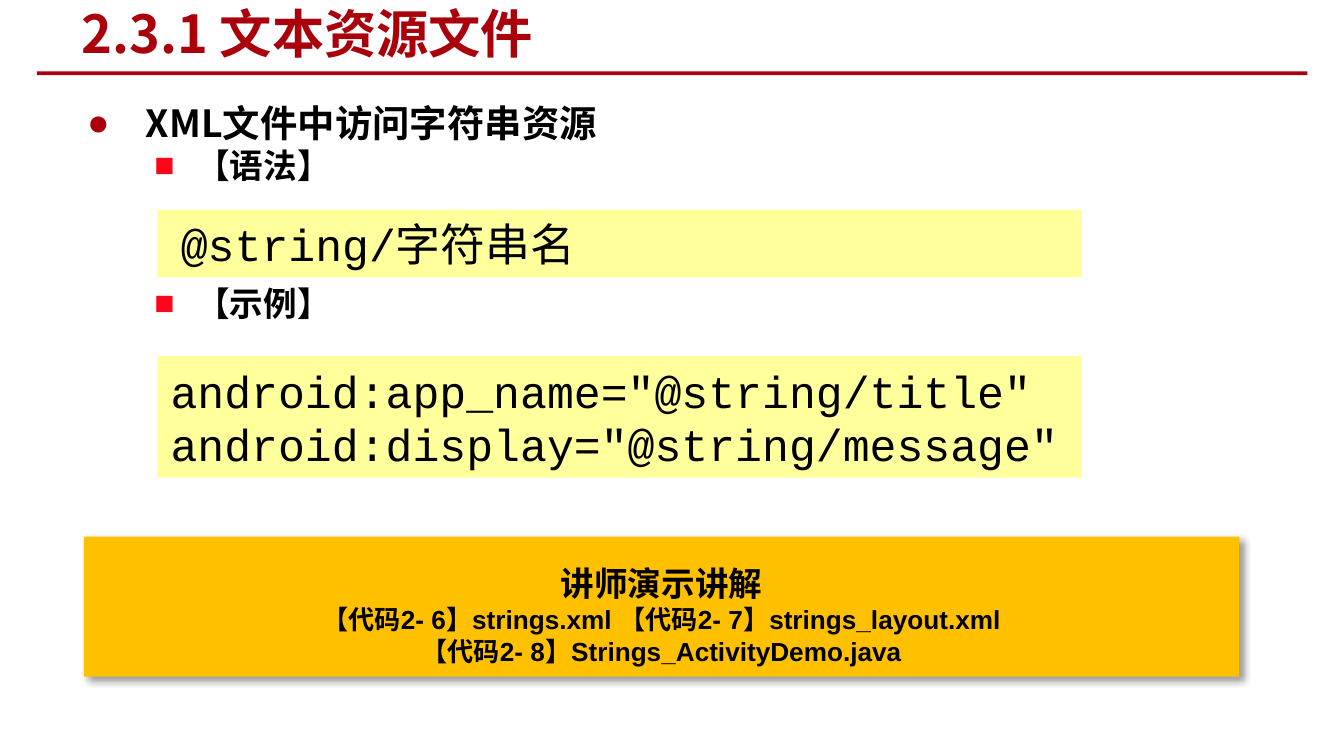
from lxml import etree
from pptx import Presentation
from pptx import util as u
from pptx.dml.color import RGBColor
from pptx.enum import shapes, text
from pptx.oxml.ns import qn

Pt = u.Pt
RED = RGBColor(0xAA, 0x00, 0x0B)
BRIGHT_RED = RGBColor(0xFF, 0x05, 0x17)
YELLOW = RGBColor(0xFF, 0xFF, 0x9B)
AMBER = RGBColor(0xFF, 0xC0, 0x00)
BLACK = RGBColor(0, 0, 0)
CJK = "Noto Sans CJK SC"
MONO = "Courier New"


def add_text(tf, words, size, font=CJK, color=BLACK, bold=True, align=text.PP_ALIGN.LEFT,
             bullet=None, bullet_color=RED, margin=0, hang=0, before=0, spacing=None):
    p = tf.paragraphs[0]
    if p.runs:
        p = tf.add_paragraph()
    p.alignment = align
    if before:
        p.space_before = Pt(before)
    if spacing:
        p.line_spacing = spacing
    if bullet:
        pPr = p._p.get_or_add_pPr()
        pPr.set("marL", str(Pt(margin)))
        pPr.set("indent", str(-Pt(hang)))
        clr = etree.SubElement(pPr, qn("a:buClr"))
        etree.SubElement(clr, qn("a:srgbClr"), val=str(bullet_color))
        etree.SubElement(pPr, qn("a:buFont"), typeface="Arial")
        etree.SubElement(pPr, qn("a:buChar"), char=bullet)
    r = p.add_run()
    r.text = words
    r.font.size = Pt(size)
    r.font.name = font
    r.font.bold = bold
    r.font.color.rgb = color
    etree.SubElement(r._r.get_or_add_rPr(), qn("a:ea"), typeface=CJK)


prs = Presentation()
prs.slide_width, prs.slide_height = Pt(720), Pt(405)
s = prs.slides.add_slide(prs.slide_layouts[6])

panels = {}
for name, x, y, w, h, color in [
    ("rule", 19.8, 38.3, 680.6, 2, RED),
    ("demo", 45, 287.5, 618.8, 75, AMBER),
    ("syntax", 84.3, 112.3, 495.2, 36.3, YELLOW),
    ("example", 84.3, 190.8, 495.2, 65.2, YELLOW),
]:
    sp = s.shapes.add_shape(shapes.MSO_SHAPE.RECTANGLE, Pt(x), Pt(y), Pt(w), Pt(h))
    sp.shadow.inherit = False
    sp.fill.solid()
    sp.fill.fore_color.rgb = color
    sp.line.fill.background()
    sp.text_frame.vertical_anchor = text.MSO_ANCHOR.MIDDLE
    panels[name] = sp

effects = panels["demo"]._element.spPr.find(qn("a:effectLst"))
shadow = etree.SubElement(effects, qn("a:outerShdw"), blurRad=str(Pt(4)), dist=str(Pt(3)),
                          dir="2700000", algn="tl", rotWithShape="0")
clr = etree.SubElement(shadow, qn("a:srgbClr"), val=str(BLACK))
etree.SubElement(clr, qn("a:alpha"), val="40000")

tf = s.shapes.add_textbox(Pt(36.7), Pt(1.4), Pt(480), Pt(32.4)).text_frame
tf.word_wrap = True
tf.vertical_anchor = text.MSO_ANCHOR.MIDDLE
add_text(tf, "2.3.1 文本资源文件", 28, color=RED)

tf = s.shapes.add_textbox(Pt(39.6), Pt(50), Pt(618.5), Pt(140)).text_frame
tf.word_wrap = True
add_text(tf, "XML文件中访问字符串资源", 20, bullet="●", margin=31.5, hang=31.5)
for words, before in [("【语法】", 0), ("【示例】", 52.5)]:
    add_text(tf, words, 18, bullet="■", bullet_color=BRIGHT_RED, margin=58.5, hang=22.5, before=before)

tf = panels["syntax"].text_frame
tf.margin_left = Pt(12.6)
add_text(tf, "@string/字符串名", 24, font=MONO, bold=False)

tf = panels["example"].text_frame
for words in ['android:app_name="@string/title"', 'android:display="@string/message"']:
    add_text(tf, words, 24, font=MONO, bold=False)

tf = panels["demo"].text_frame
tf.vertical_anchor = text.MSO_ANCHOR.TOP
add_text(tf, "讲师演示讲解", 18, align=text.PP_ALIGN.CENTER, spacing=1.5)
for words in ["【代码2- 6】strings.xml 【代码2- 7】strings_layout.xml", "【代码2- 8】Strings_ActivityDemo.java"]:
    add_text(tf, words, 14, font="Arial", align=text.PP_ALIGN.CENTER)

prs.save("out.pptx")
